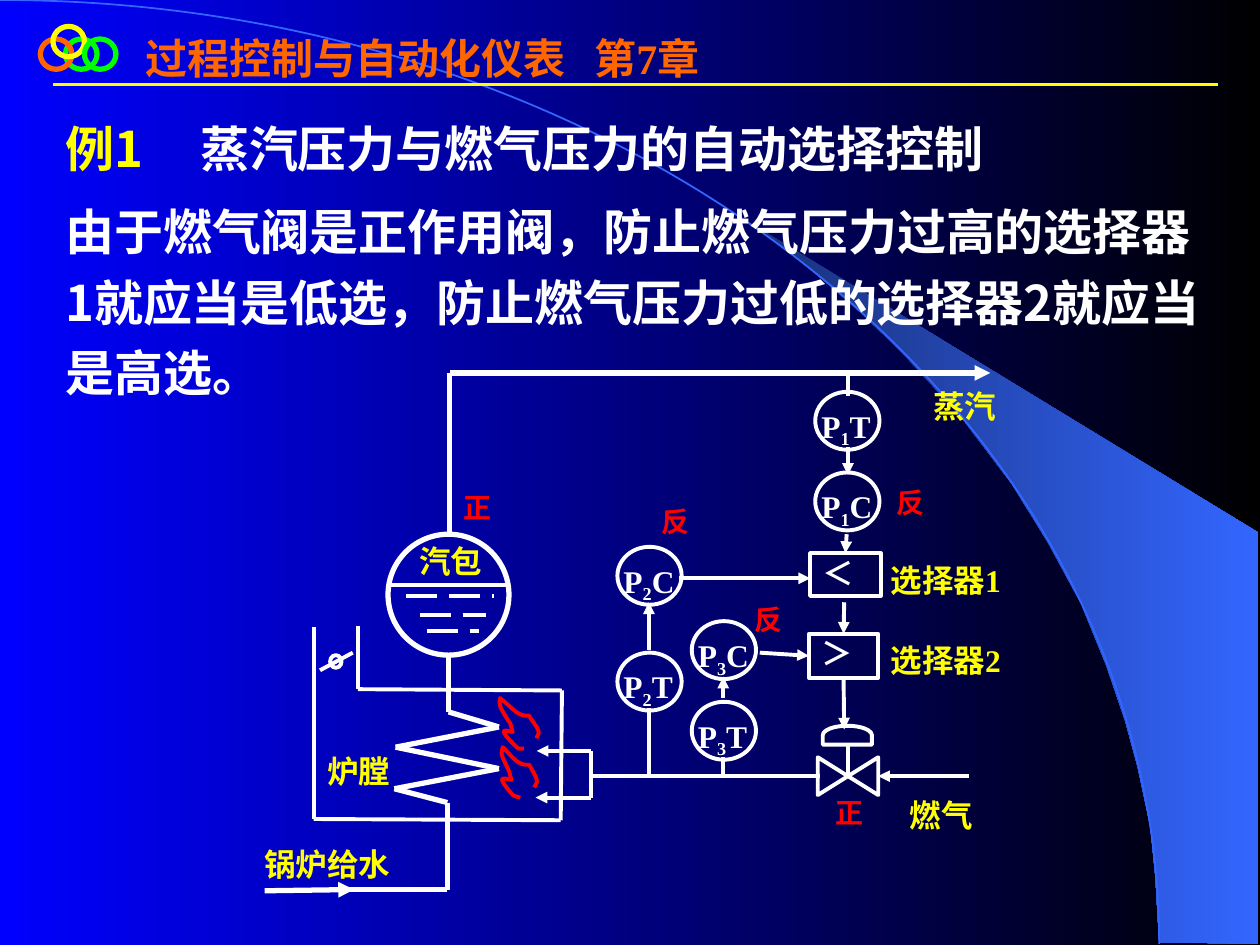
from itertools import pairwise
from lxml import etree
from pptx import Presentation
from pptx import util as u
from pptx.dml.color import RGBColor
from pptx.enum import dml, shapes, text
from pptx.oxml.ns import qn

# ---- Content: places in inches, turned to Cm by cm() ----
WHITE, YELLOW, RED, BLUE = "FFFFFF", "FFFF00", "FF0000", "3366FF"
TIMES, NOTO = "Times New Roman", "Noto Sans CJK SC"

HEAD = "过程控制与自动化仪表\t第7章"
BODY = [
    [("例1\t", YELLOW), ("蒸汽压力与燃气压力的自动选择控制", WHITE)],
    [("由于燃气阀是正作用阀，防止燃气压力过高的选择器1就应当是低选，"
      "防止燃气压力过低的选择器2就应当是高选。", WHITE)],
]
RINGS = [(0.52, 0.31, "00FF00"), (0.32, 0.31, "FF6600"),
         (0.42, 0.21, YELLOW), (0.67, 0.31, "00FF00")]
NAMES = [("燃气", 7.12, 6.21, 0.81), ("锅炉给水", 2, 6.6, 1.46),
         ("蒸汽", 7.31, 2.96, 0.89), ("汽包", 3.23, 4.19, 0.89),
         ("炉膛", 2.5, 5.86, 0.8), ("选择器1", 6.97, 4.34, 1.27),
         ("选择器2", 6.97, 4.98, 1.4)]
SIGNS = [("正", 6.53, 6.21), ("反", 5.89, 4.68), ("反", 5.15, 3.9),
         ("反", 7.02, 3.75), ("正", 3.58, 3.79)]
GAUGES = [("1", "T", 6.47, 3.11), ("1", "C", 6.47, 3.75),
          ("2", "C", 4.9, 4.34), ("2", "T", 4.9, 5.18),
          ("3", "C", 5.49, 4.93), ("3", "T", 5.49, 5.57)]
PICKS = {"low": ("＜", 6.43, 4.39, 0.56, 0.34),
         "high": ("＞", 6.42, 5.03, 0.55, 0.35)}

# Pipes: a chain of points and a line width
PIPES = [
    ([(3.57, 4.24), (3.57, 2.96)], 3),
    ([(3.56, 5.2), (3.56, 5.65), (3.96, 5.77), (3.14, 5.93), (3.96, 6.1),
      (3.13, 6.26), (3.55, 6.37), (3.55, 7.06), (2.77, 7.06)], 3),
    ([(2.49, 4.98), (2.49, 6.5), (4.45, 6.51), (4.46, 5.48),
      (2.84, 5.47), (2.84, 4.97)], 2.25),
    ([(4.69, 5.96), (4.69, 6.33)], 2.25),
    ([(4.71, 6.16), (6.51, 6.16)], 2.25),
    ([(5.15, 6.16), (5.15, 5.62)], 2.25),
    ([(5.74, 6.01), (5.74, 6.15)], 2.25),
    ([(6.73, 2.97), (6.73, 3.14)], 2.25),
    ([(6.73, 5.92), (6.73, 6.17)], 2.25),
    ([(3.08, 4.64), (4.02, 4.64)], 2.25),
    ([(2.54, 5.32), (2.8, 5.18)], 2.25),
]
# Arrows: start, end, line width, selector at start, selector at end
ARROWS = [
    ((3.57, 2.96), (7.86, 2.96), 3, None, None),
    ((2.1, 7.07), (2.81, 7.06), 3, None, None),
    ((7.69, 6.16), (6.97, 6.16), 2.25, None, None),
    ((4.69, 5.96), (4.26, 5.96), 2.25, None, None),
    ((4.69, 6.33), (4.25, 6.33), 2.25, None, None),
    ((6.73, 3.55), (6.73, 3.77), 2.25, None, None),
    ((5.15, 5.16), (5.15, 4.78), 2.25, None, None),
    ((5.74, 5.54), (5.74, 5.37), 2.25, None, None),
    ((6.72, 4.24), (6.72, 4.39), 2.25, None, ("low", 0)),
    ((5.39, 4.59), (6.43, 4.59), 2.25, None, None),
    ((6.7, 4.78), (6.7, 5.03), 2.25, None, ("high", 0)),
    ((6.03, 5.18), (6.42, 5.2), 2.25, None, ("high", 1)),
    ((6.7, 5.38), (6.7, 5.79), 2.25, ("high", 2), None),
]
WATER = [(3.22, 3.92, 4.73), (3.33, 3.86, 4.88), (3.39, 3.8, 5.01)]

# Curves: a start point, then three points for each Bezier piece
ARC = [(0, 0), (5.08, 0), (9.2, 3.35), (9.2, 7.49)]
FLAMES = [
    [(4.16, 5.94), (4.14, 5.94), (4.12, 5.95), (4.1, 5.93), (3.93, 5.76),
     (4.01, 5.8), (4.07, 5.81), (4.06, 5.79), (4.06, 5.76), (4.05, 5.74),
     (4.04, 5.73), (3.97, 5.62), (3.97, 5.6), (3.96, 5.57), (3.97, 5.56),
     (3.97, 5.54), (4.07, 5.62), (4.11, 5.69), (4.2, 5.68), (4.22, 5.72),
     (4.26, 5.76), (4.27, 5.79), (4.29, 5.82), (4.26, 5.84), (4.26, 5.86)],
    [(4.13, 6.33), (4.11, 6.32), (4.09, 6.33), (4.07, 6.31), (3.92, 6.14),
     (4, 6.18), (4.06, 6.19), (4.05, 6.17), (4.05, 6.15), (4.04, 6.12),
     (4.04, 6.12), (3.98, 6), (3.98, 5.98), (3.98, 5.96), (3.99, 5.95),
     (3.99, 5.93), (4.07, 6.01), (4.11, 6.08), (4.2, 6.07), (4.22, 6.11),
     (4.25, 6.15), (4.26, 6.19), (4.27, 6.22), (4.24, 6.23), (4.24, 6.25)],
]
WEDGE = [(9.2, 7.48), (9.99, 7.49), (9.99, 4.23), (5.89, 1.73), (6.24, 1.99),
         (6.53, 2.22), (6.85, 2.5), (7.16, 2.8), (7.62, 3.3), (8.03, 3.84),
         (8.32, 4.31), (8.58, 4.79), (8.78, 5.28), (8.93, 5.72), (9.03, 6.09),
         (9.13, 6.56), (9.17, 6.96)]

deck = Presentation()
deck.slide_width, deck.slide_height = u.Cm(25.4), u.Cm(19.05)
page = deck.slides.add_slide(deck.slide_layouts[6])
parts = page.shapes
KIND = shapes.MSO_SHAPE


# ---- Helpers ----
def cm(*vals):
    return [u.Cm(v * 2.54) for v in vals]


def hue(code):
    return RGBColor.from_string(code)


def blend(fill, first, last):
    fill.gradient()
    fill.gradient_angle = 0
    for stop, code in zip(fill.gradient_stops, (first, last)):
        stop.color.rgb = hue(code)


def edge(item, code, wide):
    item.line.color.rgb = hue(code)
    item.line.width = u.Pt(wide)


def shape(kind, *box, code=WHITE, wide=2.25, turn=0):
    item = parts.add_shape(kind, *cm(*box))
    item.shadow.inherit = False
    item.fill.background()
    edge(item, code, wide)
    item.rotation = turn
    return item


def line(start, end, code=WHITE, wide=2.25, arrow=False):
    item = parts.add_connector(shapes.MSO_CONNECTOR.STRAIGHT, *cm(*start, *end))
    edge(item, code, wide)
    if arrow:
        etree.SubElement(item.line._get_or_add_ln(), qn("a:tailEnd"), type="triangle")
    etree.SubElement(item._element.spPr, qn("a:effectLst"))
    return item


def outline(pts, close=False):
    pen = parts.build_freeform(*cm(*pts[0]), scale=1.0)
    pen.add_line_segments([cm(*p) for p in pts[1:]], close=close)
    item = pen.convert_to_shape()
    item.shadow.inherit = False
    item.fill.background()
    return item


def curve(pts, code, wide):
    """Turn each three line steps of an outline into one Bezier piece."""
    item = outline(pts)
    edge(item, code, wide)
    steps = list(item._element.iter(qn("a:lnTo")))
    track = steps[0].getparent()
    for i, step in enumerate(steps):
        if i % 3 == 0:
            piece = etree.SubElement(track, qn("a:cubicBezTo"))
        piece.append(step[0])
        track.remove(step)


def write(paras, box=None, host=None, size=18, face=TIMES, code=WHITE,
          space=1.2, gap=0, tab=None, align=text.PP_ALIGN.LEFT):
    """Put text in a new box or a host; runs are (words, colour, baseline)."""
    frame = (host or parts.add_textbox(*cm(*box))).text_frame
    frame.word_wrap = True
    frame.vertical_anchor = text.MSO_ANCHOR.TOP
    for n, runs in enumerate([[(paras,)]] if isinstance(paras, str) else paras):
        para = frame.add_paragraph() if n else frame.paragraphs[0]
        if tab:
            stops = etree.SubElement(para._p.get_or_add_pPr(), qn("a:tabLst"))
            etree.SubElement(stops, qn("a:tab"), pos=str(cm(tab)[0]), algn="l")
        para.alignment, para.line_spacing = align, space
        if n:
            para.space_before = u.Pt(gap)
        for words, *more in runs:
            run = para.add_run()
            run.text = words
            font = run.font
            font.size, font.bold, font.name = u.Pt(size), True, face
            font.color.rgb = hue(more[0] if more else code)
            etree.SubElement(font._element, qn("a:ea"), typeface=NOTO)
            if more[1:]:
                font._element.set("baseline", str(more[1]))


# ---- Backdrop and heading ----
blend(page.background.fill, "0000FF", "000000")
wedge = outline(WEDGE, close=True)
blend(wedge.fill, "182F76", BLUE)
wedge.line.fill.background()
curve(ARC, BLUE, 1)
line((0.42, 0.67), (9.67, 0.67), YELLOW, 1.5)
write(HEAD, (1.06, 0.21, 8.42, 0.5), size=24, code="FF6600", space=1.0, tab=3.56)
for x, y, code in RINGS:
    shape(KIND.OVAL, x, y, 0.25, 0.24, code=code, wide=3)
write(BODY, (0.42, 0.8, 9.2, 2.44), size=28, face=NOTO, gap=7, tab=1.07)

# ---- Boiler, damper and valve ----
shape(KIND.OVAL, 3.08, 4.24, 0.96, 0.96, wide=3)
shape(KIND.FLOWCHART_CONNECTOR, 2.62, 5.2, 0.09, 0.1)
shape(KIND.FLOWCHART_COLLATE, 6.58, 5.92, 0.3, 0.48, turn=270)
shape(KIND.FLOWCHART_DELAY, 6.65, 5.64, 0.15, 0.39, turn=270)
for flame in FLAMES:
    curve(flame, RED, 2.25)
for left, right, y in WATER:
    line((left, y), (right, y)).line.dash_style = dml.MSO_LINE.LONG_DASH

# ---- Selectors, pipes and arrows ----
rects = {}
for key, (mark, *box) in PICKS.items():
    rects[key] = shape(KIND.RECTANGLE, *box)
    write(mark, host=rects[key], face=NOTO, space=0.85, align=text.PP_ALIGN.JUSTIFY)
for chain, wide in PIPES:
    for start, end in pairwise(chain):
        line(start, end, wide=wide)
for start, end, wide, tail, tip in ARROWS:
    wire = line(start, end, wide=wide, arrow=True)
    if tail:
        wire.begin_connect(rects[tail[0]], tail[1])
    if tip:
        wire.end_connect(rects[tip[0]], tip[1])

# ---- Gauges and labels ----
for num, role, x, y in GAUGES:
    shape(KIND.OVAL, x, y, 0.51, 0.46)
    write([[("P",), (num, WHITE, -25000), (role,)]], (x - 0.05, y, 0.64, 0.34),
          align=text.PP_ALIGN.JUSTIFY)
for name, x, y, wide in NAMES:
    write(name, (x, y, wide, 0.44), code=YELLOW, align=text.PP_ALIGN.JUSTIFY)
for sign, x, y in SIGNS:
    write(sign, (x, y, 0.59, 0.42), size=16, code=RED)

deck.save("out.pptx")
